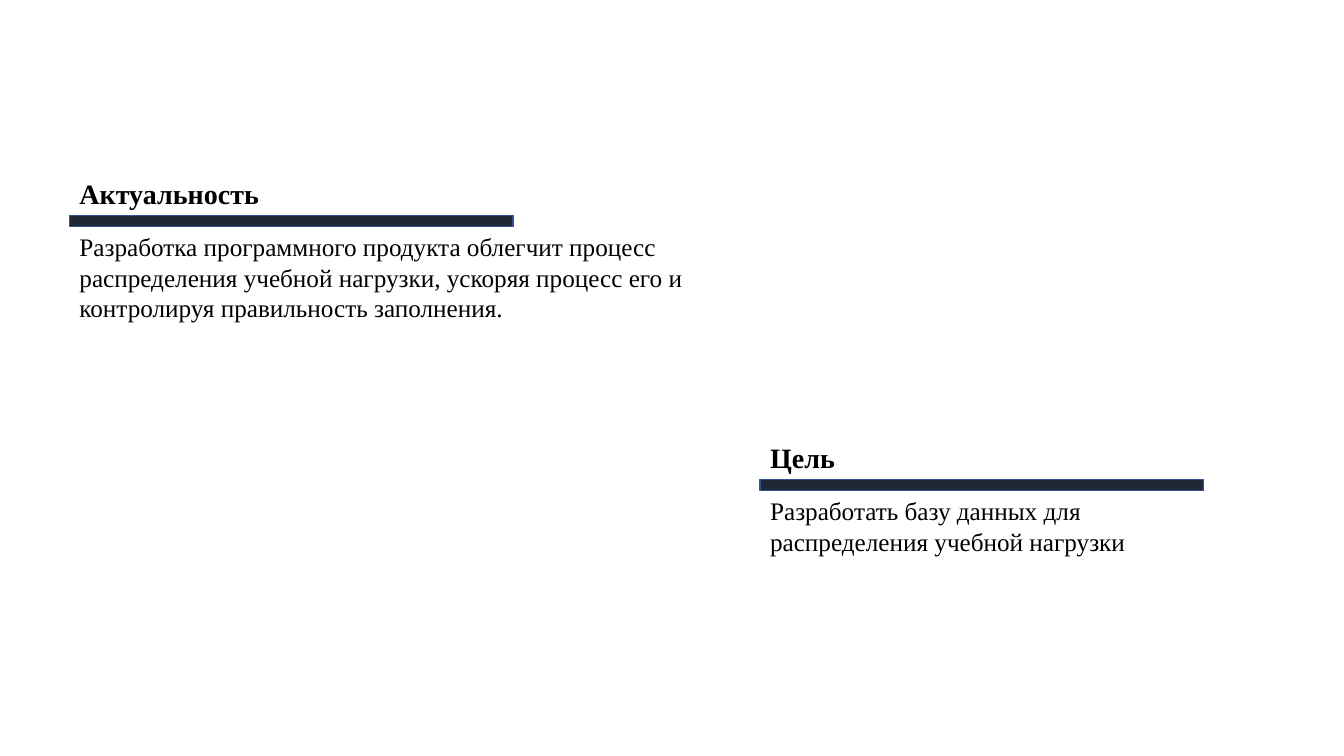
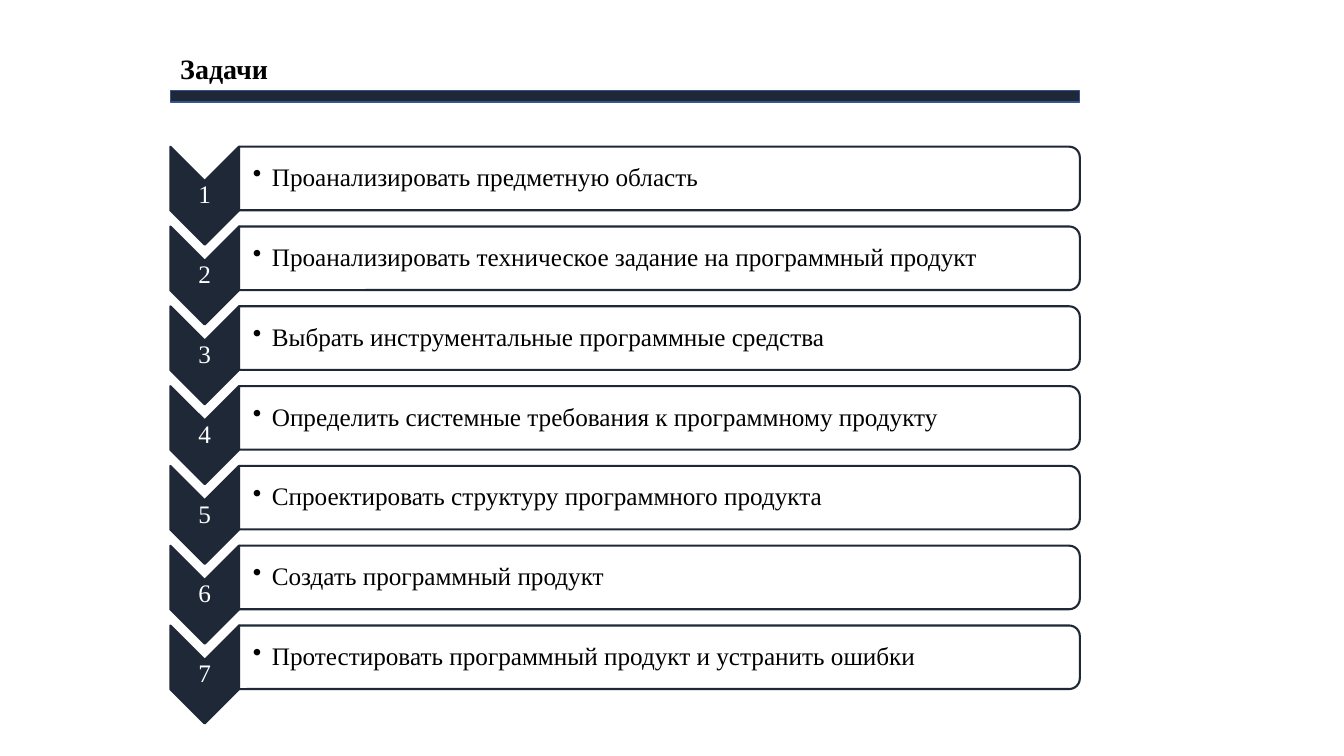
"""Builds two slides: relevance and goal, then the list of tasks."""
from lxml.etree import SubElement
from pptx import Presentation
from pptx.dml.color import RGBColor
from pptx.enum.shapes import MSO_SHAPE
from pptx.enum.text import MSO_ANCHOR, MSO_AUTO_SIZE, PP_ALIGN
from pptx.oxml.ns import qn
from pptx.util import Pt

COLORS = {"navy": "1F2837", "edge": "325491", "text": "000000", "white": "FFFFFF"}
FONT = "Times New Roman"
TITLE_SIZE, BODY_SIZE = 20, 18
TITLE_HEIGHT, RULE_HEIGHT = 31.5, 8
CHEVRON_WIDTH, CHEVRON_HEIGHT = 49, 70
BAR_HEIGHT, ROW_STEP = 45.4, 57
BULLET_INDENT = 13.5

SECTIONS = [
    ((49.7, 122.4, 316.8), "Актуальность", 144, (493, 72.7),
     "Разработка программного продукта облегчит процесс распределения учебной "
     "нагрузки, ускоряя процесс его и контролируя правильность заполнения."),
    ((543, 311, 316.8), "Цель", 61, (316.8, 51),
     "Разработать базу данных для распределения учебной нагрузки"),
]
TASKS = [
    "Проанализировать предметную область",
    "Проанализировать техническое задание на программный продукт",
    "Выбрать инструментальные программные средства",
    "Определить системные требования к программному продукту",
    "Спроектировать структуру программного продукта",
    "Создать программный продукт",
    "Протестировать программный продукт и устранить ошибки",
]


def rgb(name):
    """Return the named palette colour."""
    return RGBColor.from_string(COLORS[name])


def add_block(shapes, kind, box, fill, edge, weight, turned=False):
    """Add an outlined shape filling the box, optionally turned by 90 degrees."""
    left, top, width, height = box
    if turned:
        left, top = left + (width - height) / 2, top + (height - width) / 2
        width, height = height, width
    block = shapes.add_shape(kind, Pt(left), Pt(top), Pt(width), Pt(height))
    block.rotation = 90 if turned else 0
    block.shadow.inherit = False
    block.fill.solid()
    block.fill.fore_color.rgb = rgb(fill)
    block.line.color.rgb = rgb(edge)
    block.line.width = Pt(weight)
    return block


def add_label(shapes, box, text, size=BODY_SIZE, color="text", bold=False, wrap=True):
    """Add a one-paragraph text box and return its frame."""
    frame = shapes.add_textbox(*(Pt(value) for value in box)).text_frame
    frame.word_wrap = wrap
    frame.auto_size = MSO_AUTO_SIZE.SHAPE_TO_FIT_TEXT
    run = frame.paragraphs[0].add_run()
    run.text = text
    run.font.name, run.font.size, run.font.bold = FONT, Pt(size), bold
    run.font.color.rgb = rgb(color)
    return frame


def center_in_row(frame, left_inset):
    """Fix the frame's size, centre it vertically and tighten its margins."""
    frame.auto_size = MSO_AUTO_SIZE.NONE
    frame.vertical_anchor = MSO_ANCHOR.MIDDLE
    frame.margin_left = Pt(left_inset)
    frame.margin_top = frame.margin_right = frame.margin_bottom = Pt(1)
    frame.paragraphs[0].line_spacing = 0.9


def add_bullet(paragraph):
    """Give the paragraph a hanging round bullet."""
    paragraph.level = 1
    properties = paragraph._p.get_or_add_pPr()
    properties.set("marL", str(Pt(BULLET_INDENT)))
    properties.set("indent", str(-Pt(BULLET_INDENT)))
    SubElement(properties, qn("a:buChar")).set("char", "•")


def add_heading(shapes, left, top, width, title, title_width):
    """Add a bold title over a dark rule and return the rule's bottom."""
    rule_top = top + TITLE_HEIGHT
    add_block(shapes, MSO_SHAPE.RECTANGLE, (left, rule_top, width, RULE_HEIGHT),
              "navy", "edge", 1)
    add_label(shapes, (left, top, title_width, TITLE_HEIGHT), title,
              TITLE_SIZE, bold=True, wrap=False)
    return rule_top + RULE_HEIGHT


def add_section(shapes, place, title, title_width, body_size, body):
    """Add a heading with a body paragraph below it."""
    bottom = add_heading(shapes, *place, title, title_width)
    add_label(shapes, (place[0], bottom, *body_size), body)


def add_task(shapes, left, top, width, number, task):
    """Add one numbered chevron with its task bar as a group."""
    row = shapes.add_group_shape().shapes
    chevron_box = (left, top, CHEVRON_WIDTH, CHEVRON_HEIGHT)
    bar_box = (left + CHEVRON_WIDTH, top, width - CHEVRON_WIDTH, BAR_HEIGHT)
    add_block(row, MSO_SHAPE.CHEVRON, chevron_box, "navy", "navy", 1.5, turned=True)
    number_frame = add_label(row, chevron_box, str(number), color="white")
    center_in_row(number_frame, 1)
    number_frame.paragraphs[0].alignment = PP_ALIGN.CENTER
    bar = add_block(row, MSO_SHAPE.ROUND_2_SAME_RECTANGLE, bar_box,
                    "white", "navy", 1.5, turned=True)
    bar_color = bar._element.spPr.find(qn("a:solidFill"))[0]
    SubElement(bar_color, qn("a:alpha")).set("val", "90000")
    task_frame = add_label(row, bar_box, task)
    center_in_row(task_frame, 10)
    add_bullet(task_frame.paragraphs[0])


def build_purpose_slide(slide):
    """Place the relevance and goal sections."""
    for section in SECTIONS:
        add_section(slide.shapes, *section)


def build_tasks_slide(slide, left=121.7, top=33.3, width=649.6):
    """Place the tasks heading and the evenly spaced task rows."""
    bottom = add_heading(slide.shapes, left, top, width, "Задачи", 78)
    for index, task in enumerate(TASKS):
        add_task(slide.shapes, left, bottom + 32 + index * ROW_STEP, width,
                 index + 1, task)


def main():
    """Build and save the presentation."""
    deck = Presentation()
    deck.slide_width, deck.slide_height = Pt(960), Pt(540)
    for build in (build_purpose_slide, build_tasks_slide):
        build(deck.slides.add_slide(deck.slide_layouts[6]))
    deck.save("out.pptx")


if __name__ == "__main__":
    main()
